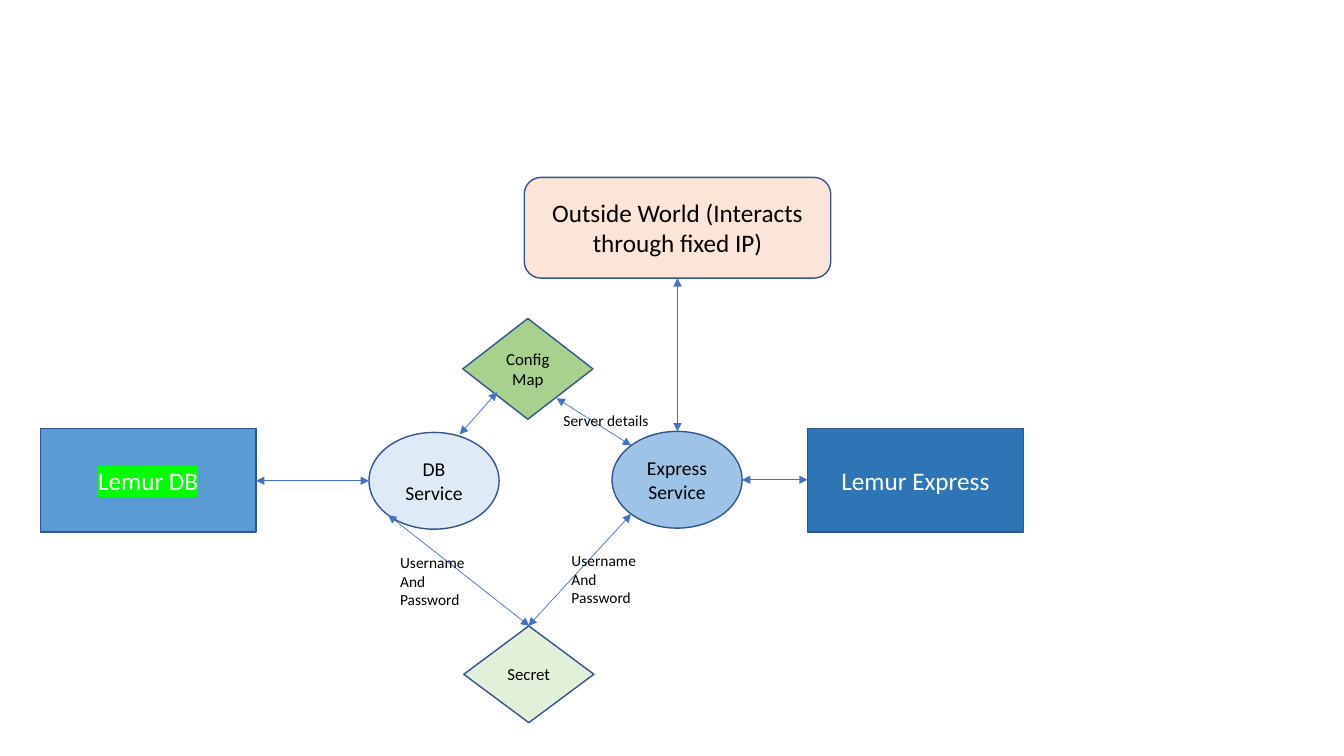
from pptx import Presentation
from pptx.dml.color import RGBColor
from pptx.enum import shapes, text
from pptx.oxml import parse_xml
from pptx.oxml.ns import nsdecls
from pptx.util import Inches, Pt

FONT = "Calibri"
BLACK = RGBColor(0x00, 0x00, 0x00)
WHITE = RGBColor(0xFF, 0xFF, 0xFF)
OUTLINE = RGBColor(0x32, 0x54, 0x91)
ARROW = RGBColor(0x44, 0x72, 0xC4)
DATABASE = RGBColor(0x5B, 0x9B, 0xD5)
DB_SERVICE = RGBColor(0xDE, 0xEB, 0xF7)
EXPRESS = RGBColor(0x2E, 0x75, 0xB6)
EXPRESS_SERVICE = RGBColor(0x9D, 0xC3, 0xE6)
SECRET = RGBColor(0xE2, 0xF0, 0xD9)
CONFIG_MAP = RGBColor(0xA9, 0xD1, 0x8E)
OUTSIDE = RGBColor(0xFB, 0xE5, 0xD6)
GREEN = RGBColor(0x00, 0xFF, 0x00)

KIND = shapes.MSO_SHAPE
BOX = (2.14, 1.03)
NODE = (1.29, 0.96)
CREDENTIALS = ["Username", "And", "Password"]


def write(tf, lines, size=18, color=BLACK, align=None, highlight=None):
    tf.word_wrap = True
    for i, line in enumerate(lines):
        p = tf.paragraphs[0] if i == 0 else tf.add_paragraph()
        p.alignment = align
        r = p.add_run()
        r.text = line
        r.font.size = Pt(size)
        r.font.color.rgb = color
        if highlight is not None:
            r._r.get_or_add_rPr().append(parse_xml(
                f'<a:highlight {nsdecls("a")}><a:srgbClr val="{highlight}"/></a:highlight>'))
        r.font.name = FONT


def add_node(s, kind, pos, extent, fill, label, **fmt):
    sp = s.shapes.add_shape(kind, *map(Inches, pos + extent))
    sp.shadow.inherit = False
    sp.fill.solid()
    sp.fill.fore_color.rgb = fill
    sp.line.color.rgb = OUTLINE
    sp.line.width = Pt(1)
    sp.text_frame.vertical_anchor = text.MSO_ANCHOR.MIDDLE
    write(sp.text_frame, [label], align=text.PP_ALIGN.CENTER, **fmt)


def add_label(s, pos, extent, lines):
    sp = s.shapes.add_textbox(*map(Inches, pos + extent))
    write(sp.text_frame, lines, size=11)
    sp.text_frame.auto_size = text.MSO_AUTO_SIZE.SHAPE_TO_FIT_TEXT


def add_arrow(s, start, end):
    c = s.shapes.add_connector(shapes.MSO_CONNECTOR.STRAIGHT, *map(Inches, start + end))
    c.line.color.rgb = ARROW
    c.line.width = Pt(0.5)
    ln = c.line._get_or_add_ln()
    for tag in ("headEnd", "tailEnd"):
        ln.append(parse_xml(f'<a:{tag} {nsdecls("a")} type="triangle"/>'))
    c._element.spPr.append(parse_xml(f'<a:effectLst {nsdecls("a")}/>'))


def main():
    prs = Presentation()
    prs.slide_width, prs.slide_height = Inches(13.33), Inches(7.5)
    s = prs.slides.add_slide(prs.slide_layouts.get_by_name("Blank"))

    add_node(s, KIND.RECTANGLE, (0.4, 4.25), BOX, DATABASE, "Lemur DB",
             color=WHITE, highlight=GREEN)
    add_node(s, KIND.FLOWCHART_CONNECTOR, (3.66, 4.29), NODE, DB_SERVICE,
             "DB Service", size=14)
    add_node(s, KIND.RECTANGLE, (8.01, 4.25), BOX, EXPRESS, "Lemur Express", color=WHITE)
    add_node(s, KIND.FLOWCHART_CONNECTOR, (6.07, 4.28), NODE, EXPRESS_SERVICE,
             "Express Service", size=14)
    add_node(s, KIND.DIAMOND, (4.6, 6.21), NODE, SECRET, "Secret", size=12)
    add_node(s, KIND.DIAMOND, (4.59, 3.16), (1.29, 1), CONFIG_MAP, "Config Map", size=12)
    add_node(s, KIND.ROUNDED_RECTANGLE, (5.2, 1.76), (3.04, 1), OUTSIDE,
             "Outside World (Interacts through fixed IP)")

    arrows = [
        ((3.85, 5.11), (5.25, 6.21)),
        ((6.26, 5.1), (5.24, 6.21)),
        ((2.54, 4.77), (3.66, 4.77)),
        ((5.52, 3.95), (6.26, 4.42)),
        ((4.56, 4.31), (4.93, 3.89)),
        ((6.72, 2.76), (6.72, 4.28)),
        ((7.36, 4.76), (8.01, 4.76)),
    ]
    for start, end in arrows:
        add_arrow(s, start, end)

    for pos in ((3.87, 5.44), (5.57, 5.42)):
        add_label(s, pos, (1, 0.66), CREDENTIALS)
    add_label(s, (5.49, 4.03), (1.15, 0.29), ["Server details"])

    prs.save("out.pptx")


main()
